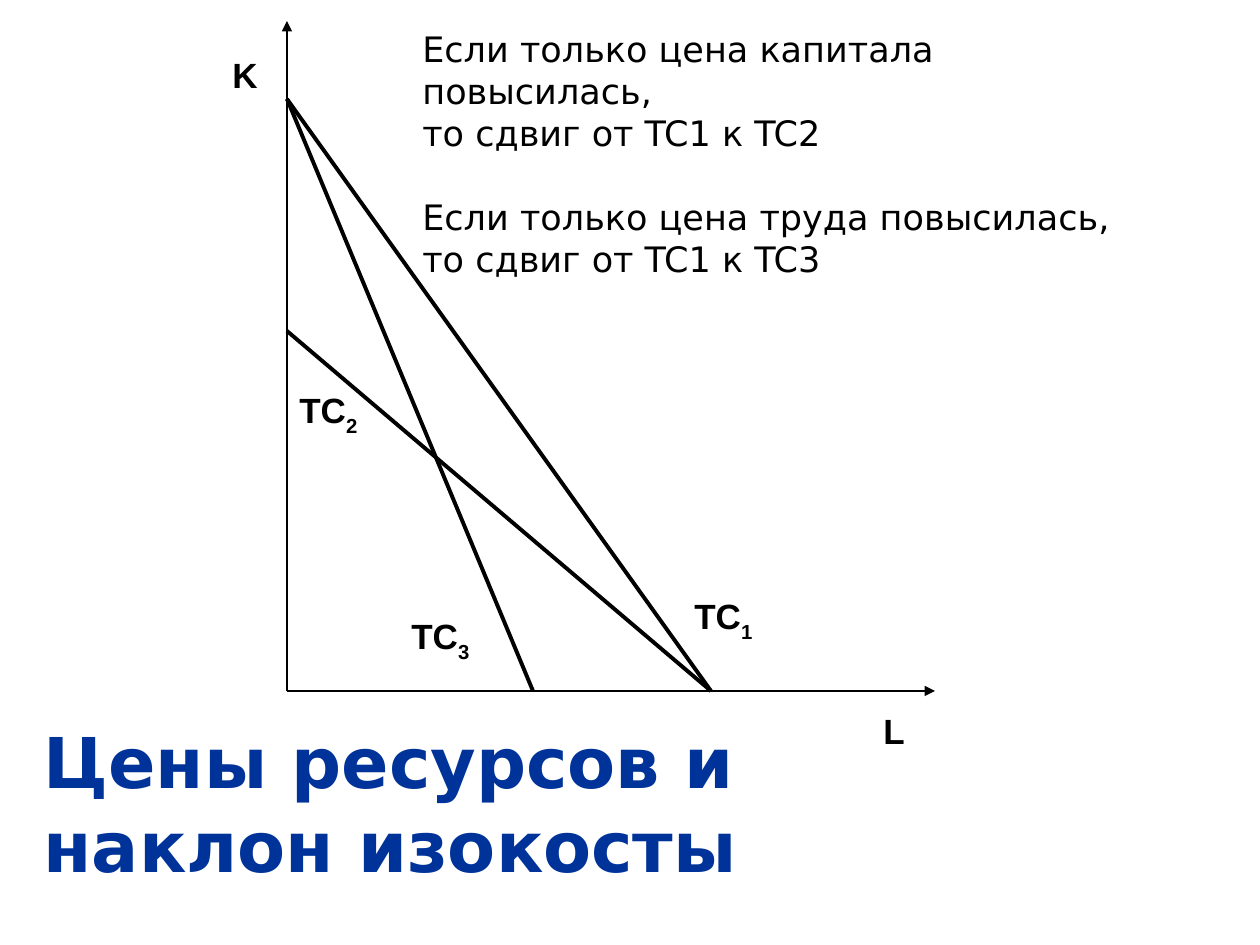
import pptx
import pptx.util
import pptx.dml.color
import pptx.enum.shapes
import pptx.enum.text
import pptx.oxml.ns
import lxml.etree
from collections import namedtuple
from dataclasses import dataclass

Box = namedtuple("Box", "left top width height")


@dataclass(frozen=True)
class Theme:
    """Colours, fonts and type sizes of the slide."""
    ink: str = "000000"
    paper: str = "FFFFFF"
    accent: str = "003399"
    label_font: str = "Arial"
    text_font: str = "DejaVu Sans"
    title_size: int = 40
    text_size: int = 20
    axis_width: float = 1.5
    isocost_width: float = 2.25


THEME = Theme()


def px(length):
    """Turn pixels into EMU at 126 pixels to the inch."""
    return pptx.util.Emu(round(length * 914400 / 126))


def rgb(colour):
    """Turn a hex string into a colour."""
    return pptx.dml.color.RGBColor.from_string(colour)


def add_run(paragraph, text, font, size, colour, bold=False):
    """Add one formatted run to a paragraph."""
    run = paragraph.add_run()
    run.text = text
    run.font.name = font
    run.font.size = pptx.util.Pt(size)
    run.font.bold = bold
    run.font.color.rgb = rgb(colour)
    return run


def add_line(slide, start, end, width, arrow=False):
    """Draw a straight line, with an arrowhead at its end if asked."""
    line = slide.shapes.add_connector(
        pptx.enum.shapes.MSO_CONNECTOR.STRAIGHT, *map(px, start + end))
    line.line.color.rgb = rgb(THEME.ink)
    line.line.width = pptx.util.Pt(width)
    qn = pptx.oxml.ns.qn
    if arrow:
        lxml.etree.SubElement(line.line._get_or_add_ln(), qn("a:tailEnd"), type="triangle")
    lxml.etree.SubElement(line._element.spPr, qn("a:effectLst"))


def add_label(slide, box, name, index=""):
    """Place a bold label with an optional subscript on a plain rectangle."""
    label = slide.shapes.add_shape(
        pptx.enum.shapes.MSO_SHAPE.RECTANGLE, *map(px, box))
    label.shadow.inherit = False
    label.fill.solid()
    label.fill.fore_color.rgb = rgb(THEME.paper)
    label.line.fill.background()
    label.text_frame.vertical_anchor = pptx.enum.text.MSO_ANCHOR.TOP
    paragraph = label.text_frame.paragraphs[0]
    paragraph.alignment = pptx.enum.text.PP_ALIGN.LEFT
    style = (THEME.label_font, THEME.text_size, THEME.ink, True)
    add_run(paragraph, name, *style)
    if index:
        subscript = add_run(paragraph, index, *style)
        subscript.font._element.set("baseline", "-30000")


def add_diagram(slide, box):
    """Draw the axes, the three isocosts and their labels."""
    left, top, width, height = box
    bottom = top + height
    labels = [
        (-67, 26, 67, "K", ""),
        (584, 682, 67, "L", ""),
        (395, 567, 89, "ТС", "1"),
        (0, 361, 89, "ТС", "2"),
        (112, 587, 89, "ТС", "3"),
    ]
    for x, y, label_width, name, index in labels:
        add_label(slide, Box(left + x, top + y, label_width, 77), name, index)

    origin = (left, bottom)
    for tip in ((left, top), (left + width, bottom)):
        add_line(slide, origin, tip, THEME.axis_width, arrow=True)

    for capital, labour in ((592, 424), (592, 246), (360, 424)):
        add_line(slide, (left, bottom - capital), (left + labour, bottom),
                 THEME.isocost_width)


def add_commentary(slide, box):
    """Write the two cases of a price rise."""
    frame = slide.shapes.add_textbox(*map(px, box)).text_frame
    frame.word_wrap = True
    cases = [
        ("Если только цена капитала повысилась,", "то сдвиг от TC1 к TC2"),
        ("Если только цена труда повысилась,", "то сдвиг от TC1 к TC3"),
    ]
    paragraph = frame.paragraphs[0]
    for number, (condition, shift) in enumerate(cases):
        if number:
            paragraph = frame.add_paragraph()
            paragraph.space_before = pptx.util.Pt(24)
        add_run(paragraph, condition, THEME.text_font, THEME.text_size, THEME.ink)
        add_run(frame.add_paragraph(), shift, THEME.text_font, THEME.text_size, THEME.ink)


def add_title(slide, box):
    """Set the two-line title in the title placeholder."""
    title = slide.shapes.title
    title.left, title.top, title.width, title.height = map(px, box)
    frame = title.text_frame
    frame.word_wrap = True
    frame.auto_size = pptx.enum.text.MSO_AUTO_SIZE.NONE
    frame.vertical_anchor = pptx.enum.text.MSO_ANCHOR.MIDDLE
    for number, line in enumerate(("Цены ресурсов и", "наклон изокосты")):
        paragraph = frame.add_paragraph() if number else frame.paragraphs[0]
        paragraph.alignment = pptx.enum.text.PP_ALIGN.LEFT
        paragraph.space_before = pptx.util.Pt(0)
        add_run(paragraph, line, THEME.text_font, THEME.title_size, THEME.accent, True)


def main():
    """Build the slide and save it."""
    deck = pptx.Presentation()
    deck.slide_width, deck.slide_height = px(1260), px(945)
    slide = deck.slides.add_slide(deck.slide_layouts[5])
    slide.background.fill.solid()
    slide.background.fill.fore_color.rgb = rgb(THEME.paper)
    add_diagram(slide, Box(287, 21, 648, 670))
    add_title(slide, Box(31, 683, 746, 240))
    add_commentary(slide, Box(410, 21, 769, 224))
    deck.save("out.pptx")


if __name__ == "__main__":
    main()
